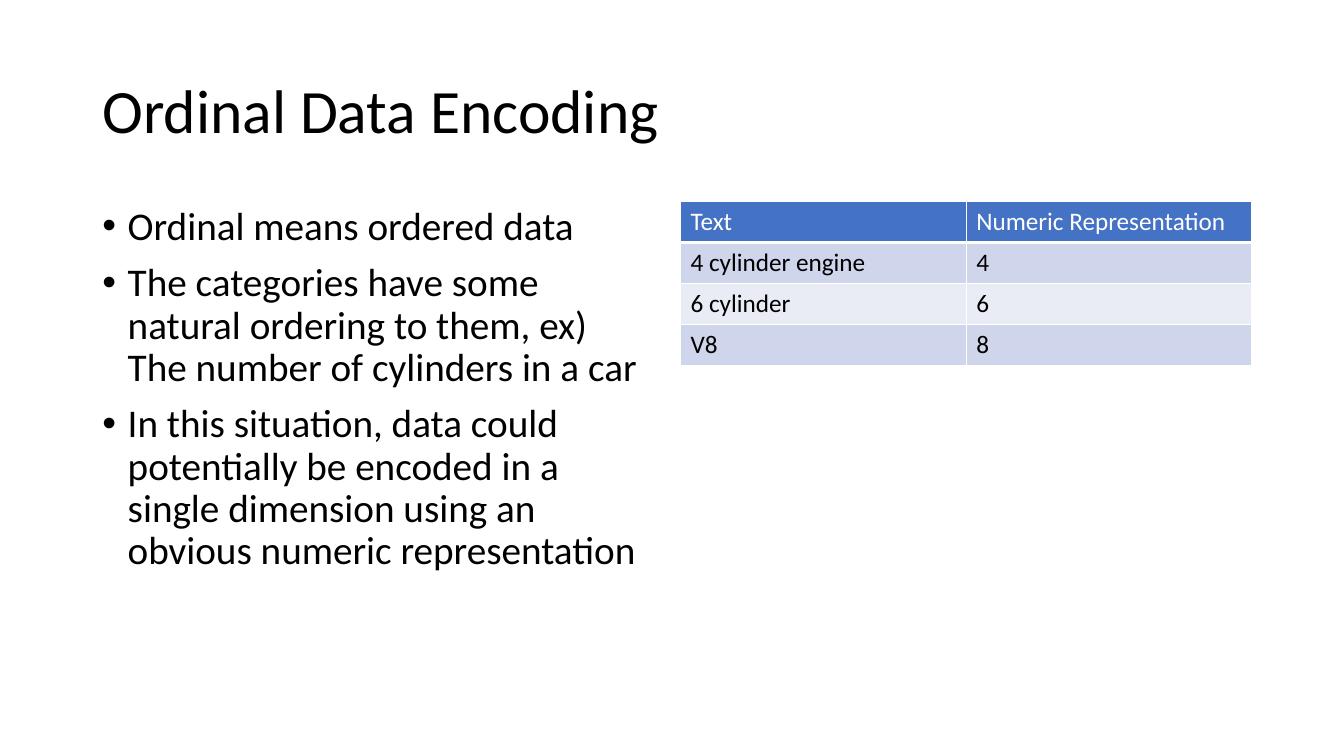
from lxml import etree
from pptx import Presentation
from pptx.dml.color import RGBColor
from pptx.enum import text
from pptx.oxml import ns
from pptx.util import Cm, Pt

BLACK = RGBColor(0x00, 0x00, 0x00)
WHITE = RGBColor(0xFF, 0xFF, 0xFF)
HEADER_BLUE = RGBColor(0x44, 0x72, 0xC4)
BAND_DARK = RGBColor(0xCF, 0xD5, 0xEA)
BAND_LIGHT = RGBColor(0xE9, 0xEB, 0xF5)

FONT = "Calibri"
LEFT = Cm(2.33)
CONTENT_TOP = Cm(5.08)
COLUMN_WIDTH = Cm(14.4)
TABLE_LEFT = Cm(17.15)
ROW_HEIGHT = Cm(1.03)
BULLET_INDENT = Cm(0.64)

POINTS = [
    "Ordinal means ordered data",
    "The categories have some natural ordering to them, ex) The number of cylinders in a car",
    "In this situation, data could potentially be encoded in a single dimension "
    "using an obvious numeric representation",
]
ENCODING = [
    ("Text", "Numeric Representation"),
    ("4 cylinder engine", "4"),
    ("6 cylinder", "6"),
    ("V8", "8"),
]


def write(paragraph, words, size, color=BLACK):
    run = paragraph.add_run()
    run.text = words
    for attribute, value in {"name": FONT, "size": Pt(size)}.items():
        setattr(run.font, attribute, value)
    run.font.color.rgb = color


def add_frame(slide, left, top, width, height, anchor):
    frame = slide.shapes.add_textbox(left, top, width, height).text_frame
    settings = {
        "word_wrap": True,
        "auto_size": text.MSO_AUTO_SIZE.NONE,
        "vertical_anchor": anchor,
    }
    for attribute, value in settings.items():
        setattr(frame, attribute, value)
    return frame


def add_bullet(paragraph):
    """Give the paragraph a round bullet with a hanging indent."""
    properties = paragraph._p.get_or_add_pPr()
    properties.set("marL", str(BULLET_INDENT))
    properties.set("indent", str(-BULLET_INDENT))
    etree.SubElement(properties, ns.qn("a:buFont"), typeface="Arial")
    etree.SubElement(properties, ns.qn("a:buChar"), char="•")


def add_title(slide, words):
    frame = add_frame(slide, LEFT, Cm(1.02), Cm(29.21), Cm(3.68), text.MSO_ANCHOR.MIDDLE)
    title = frame.paragraphs[0]
    title.line_spacing = 0.9
    write(title, words, 44)


def add_points(slide, points):
    frame = add_frame(slide, LEFT, CONTENT_TOP, COLUMN_WIDTH, Cm(12.09), text.MSO_ANCHOR.TOP)
    for index, words in enumerate(points):
        point = frame.add_paragraph() if index else frame.paragraphs[0]
        add_bullet(point)
        point.line_spacing = 0.9
        point.space_before = Pt(10 if index else 0)
        write(point, words, 28)


def set_borders(cell, widths):
    """Draw white borders; widths maps a side (L, R, T, B) to points."""
    properties = cell._tc.get_or_add_tcPr()
    for position, (side, width) in enumerate(widths.items()):
        line = etree.Element(ns.qn(f"a:ln{side}"), w=str(Pt(width)))
        fill = etree.SubElement(line, ns.qn("a:solidFill"))
        etree.SubElement(fill, ns.qn("a:srgbClr"), val=str(WHITE))
        properties.insert(position, line)


def add_encoding_table(slide, rows):
    columns = len(rows[0])
    table = slide.shapes.add_table(
        len(rows), columns, TABLE_LEFT, CONTENT_TOP, COLUMN_WIDTH, ROW_HEIGHT * len(rows)
    ).table
    for row_index, row in enumerate(rows):
        is_header = row_index == 0
        band = BAND_DARK if row_index % 2 else BAND_LIGHT
        for column_index, words in enumerate(row):
            cell = table.cell(row_index, column_index)
            cell.fill.solid()
            cell.fill.fore_color.rgb = HEADER_BLUE if is_header else band
            set_borders(cell, {"L": 1, "R": 1, "T": 1, "B": 3 if is_header else 1})
            write(cell.text_frame.paragraphs[0], words, 18, WHITE if is_header else BLACK)
            if is_header:
                cell.text_frame.paragraphs[0].runs[0].font.bold = False


def main():
    presentation = Presentation()
    presentation.slide_width = Cm(33.87)
    presentation.slide_height = Cm(19.05)
    slide = presentation.slides.add_slide(presentation.slide_layouts[6])
    add_title(slide, "Ordinal Data Encoding")
    add_points(slide, POINTS)
    add_encoding_table(slide, ENCODING)
    presentation.save("out.pptx")


if __name__ == "__main__":
    main()
